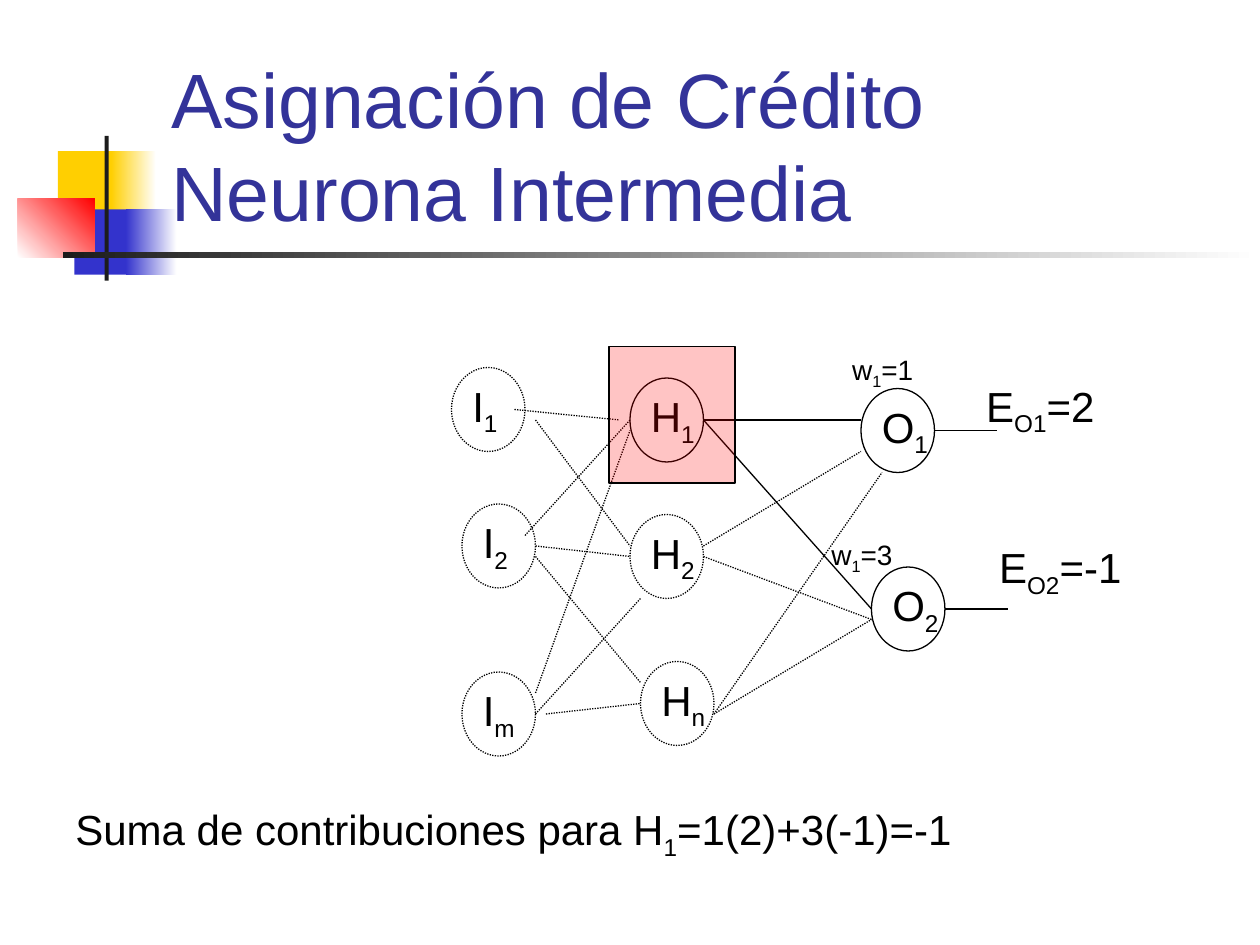
from lxml.etree import SubElement
from pptx import Presentation
from pptx.dml.color import RGBColor
from pptx.enum.dml import MSO_LINE_DASH_STYLE as Dash
from pptx.enum.shapes import MSO_CONNECTOR as Connector, MSO_SHAPE as Shape
from pptx.enum.text import MSO_ANCHOR as Anchor, MSO_AUTO_SIZE as AutoSize, PP_ALIGN as Align
from pptx.oxml.ns import qn
from pptx.util import Cm, Pt

GRID = 2.54 / 12  # the network sits on a grid of twelve steps per inch


def color(hex_string):
    return RGBColor.from_string(hex_string)


def grid(*steps):
    return [Cm(step * GRID) for step in steps]


class NetworkSlide:
    font = "Arial"
    ink = "000000"
    title_color = "333399"
    line_width = Pt(0.75)
    neuron_size = (7, 8)

    def __init__(self, presentation):
        self.slide = presentation.slides.add_slide(presentation.slide_layouts[5])
        self.shapes = self.slide.shapes

    def format_run(self, run, size, hex_string):
        run.font.name = self.font
        run.font.size = Pt(size)
        run.font.color.rgb = color(hex_string)

    def title(self, text):
        title = self.shapes.title
        title.left, title.top, title.width, title.height = Cm(3.2), Cm(1.73), Cm(21.64), Cm(3.17)
        frame = title.text_frame
        frame.text = text
        frame.word_wrap = True
        frame.auto_size = AutoSize.NONE
        frame.vertical_anchor = Anchor.BOTTOM
        paragraph = frame.paragraphs[0]
        paragraph.alignment = Align.LEFT
        for run in paragraph.runs:
            self.format_run(run, 44, self.title_color)
        # Keep the title in front of the decoration
        self.shapes[-1].element.addnext(title.element)

    def block(self, box, start, end=None, angle=0):
        shape = self.shapes.add_shape(Shape.RECTANGLE, *[Cm(length) for length in box])
        shape.shadow.inherit = False
        shape.line.fill.background()
        if end is None:
            shape.fill.solid()
            shape.fill.fore_color.rgb = color(start)
        else:
            shape.fill.gradient()
            shape.fill.gradient_angle = angle
            for stop, hex_string in zip(shape.fill.gradient_stops, (start, end)):
                stop.color.rgb = color(hex_string)

    def outline(self, line, dotted):
        line.color.rgb = color(self.ink)
        line.width = self.line_width
        if dotted:
            line.dash_style = Dash.ROUND_DOT

    def text(self, content, left, top, width, height=1.27, size=24, wrap=False):
        """Underscores in content switch subscript on and off."""
        box = self.shapes.add_textbox(Cm(left), Cm(top), Cm(width), Cm(height))
        frame = box.text_frame
        frame.word_wrap = wrap
        frame.auto_size = AutoSize.SHAPE_TO_FIT_TEXT
        for index, part in enumerate(content.split("_")):
            run = frame.paragraphs[0].add_run()
            run.text = part
            self.format_run(run, size, self.ink)
            if index % 2:
                run._r.get_or_add_rPr().set("baseline", "-25000")

    def neuron(self, label, left, top, label_width, dotted=True):
        shape = self.shapes.add_shape(Shape.OVAL, *grid(left, top, *self.neuron_size))
        shape.shadow.inherit = False
        shape.fill.background()
        self.outline(shape.line, dotted)
        self.text(label, left * GRID + 0.17, top * GRID + 0.13, label_width)

    def link(self, start, end, dotted=True):
        connector = self.shapes.add_connector(Connector.STRAIGHT, *grid(*start, *end))
        self.outline(connector.line, dotted)
        SubElement(connector._element.spPr, qn("a:effectLst"))

    def highlight(self, box, hex_string, opacity):
        shape = self.shapes.add_shape(Shape.RECTANGLE, *grid(*box))
        shape.shadow.inherit = False
        shape.fill.solid()
        shape.fill.fore_color.rgb = color(hex_string)
        fill_color = shape._element.spPr.find(qn("a:solidFill"))[0]
        SubElement(fill_color, qn("a:alpha")).set("val", str(opacity * 1000))
        self.outline(shape.line, dotted=False)


def main():
    presentation = Presentation()
    presentation.slide_width, presentation.slide_height = Cm(25.4), Cm(19.05)
    page = NetworkSlide(presentation)

    # Decoration around the title
    page.block((1.17, 3.05, 1.22, 1.32), "FFCF01")
    page.block((2.24, 3.05, 0.91, 1.32), "FFCF01", "FFFFFF")
    page.block((1.5, 4.22, 1.17, 1.32), "3333CC")
    page.block((2.54, 4.22, 1.02, 1.32), "3333CC", "FFFFFF")
    page.block((0.36, 4.01, 1.55, 1.18), "FFFFFF", "FF0000", angle=45)
    page.block((2.11, 2.74, 0.08, 2.92), "1C1C1C")
    page.block((1.27, 5.08, 24.13, 0.13), "1C1C1C", "FFFFFF")
    page.title("Asignación de Crédito\vNeurona Intermedia")

    # Neurons: label, grid position, label width
    for label, left, top, width in (
        ("I_1", 43, 35, 1.07), ("I_2", 44, 48, 1.07), ("I_m", 44, 64, 1.22),
        ("H_2", 60, 49, 1.45), ("H_n", 61, 63, 1.45),
    ):
        page.neuron(label, left, top, width)
    for label, left, top, width in (
        ("H_1", 60, 36, 1.45), ("O_1", 82, 37, 1.5), ("O_2", 83, 54, 1.5),
    ):
        page.neuron(label, left, top, width, dotted=False)

    # Active connections and outputs
    for start, end in (
        ((67, 40), (82, 40)), ((67, 40), (83, 58)),
        ((89, 41), (95, 41)), ((90, 58), (96, 58)),
    ):
        page.link(start, end, dotted=False)

    # Other connections: input to hidden, then hidden to output
    for start, end in (
        ((49, 39), (59, 40)), ((51, 40), (60, 52)),
        ((50, 51), (60, 40)), ((51, 52), (60, 53)), ((51, 53), (61, 65)),
        ((51, 66), (60, 41)), ((51, 68), (61, 57)), ((52, 68), (61, 67)),
        ((67, 52), (82, 43)), ((67, 53), (83, 59)),
        ((68, 68), (84, 45)), ((68, 68), (83, 59)),
    ):
        page.link(start, end)

    # Weights, errors and the resulting sum
    page.text("w_1_=1", 16.93, 6.99, 1.9, 0.94, size=16, wrap=True)
    page.text("w_1_=3", 16.51, 10.72, 1.9, 0.94, size=16, wrap=True)
    page.text("E_O1_=2", 19.63, 7.54, 2.79)
    page.text("E_O2_=-1", 19.89, 10.8, 3.07)
    page.text("Suma de contribuciones para H_1_=1(2)+3(-1)=-1", 1.27, 16.08, 18.21)

    # Hidden neuron under study
    page.highlight((58, 33, 12, 13), "FF0000", opacity=23)

    presentation.save("out.pptx")


if __name__ == "__main__":
    main()
